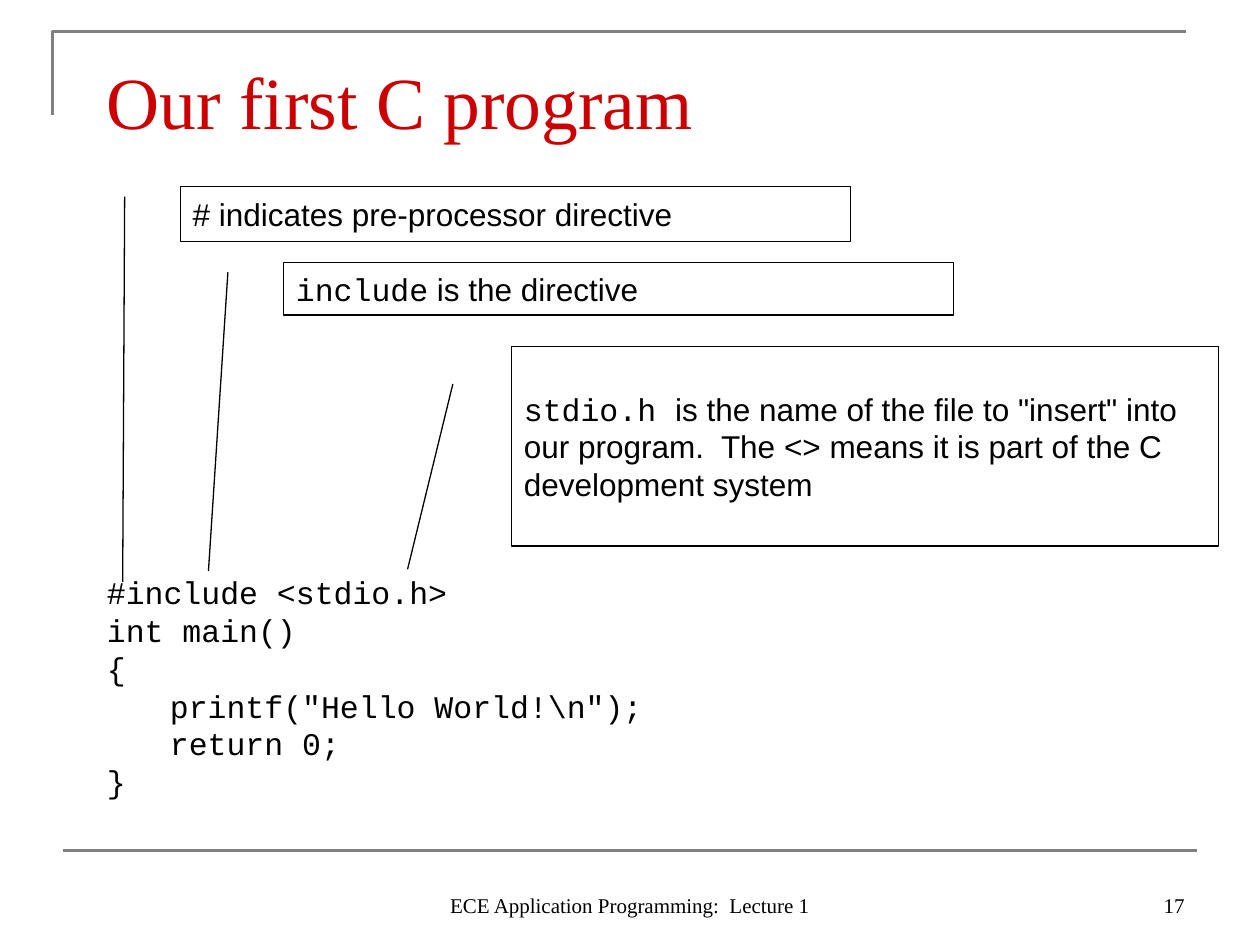
import pptx
import pptx.util
import pptx.dml.color
import pptx.enum.shapes
import pptx.enum.text
import pptx.oxml.ns
import lxml.etree

Pt = pptx.util.Pt
ANCHOR = pptx.enum.text.MSO_ANCHOR
ALIGN = pptx.enum.text.PP_ALIGN
SERIF, SANS, MONO = "Times New Roman", "Arial", "Courier New"
BLACK, RED, GRAY = "000000", "CC0000", "808080"
CODE = """#include <stdio.h>
int main()
{
\tprintf("Hello World!\\n");
\treturn 0;
}"""
CALLOUTS = [
    ((103, 106.5, 383, 31.7), (0.188, -0.083, 7.131, -0.086),
     [("# indicates pre-processor directive", SANS)]),
    ((162, 150, 383, 30), (0.188, -0.083, 5.879, -0.112),
     [("include", MONO), (" is the directive", SANS)]),
    ((292.3, 198, 404, 114), (0.188, -0.083, 1.117, -0.147),
     [("stdio.h ", MONO),
      ('is the name of the file to "insert" into our program.  '
       "The <> means it is part of the C development system", SANS)]),
]


def color(value):
    """Turn a hex string into a colour."""
    return pptx.dml.color.RGBColor.from_string(value)


def style_font(font, face, size, ink=BLACK):
    """Set face, size and colour of a font."""
    font.name = face
    font.size = Pt(size)
    font.color.rgb = color(ink)


def style_outline(line, ink, width):
    """Set colour and width of a line."""
    line.color.rgb = color(ink)
    line.width = Pt(width)


def add_text(slide, box, text, face, size, ink=BLACK, align=ALIGN.LEFT, anchor=ANCHOR.TOP):
    """Add a one-paragraph text box and return its frame."""
    frame = slide.shapes.add_textbox(*map(Pt, box)).text_frame
    frame.word_wrap = True
    frame.vertical_anchor = anchor
    paragraph = frame.paragraphs[0]
    paragraph.text = text
    paragraph.alignment = align
    for run in paragraph.runs:
        style_font(run.font, face, size, ink)
    return frame


def add_header(slide, box):
    """Draw the corner rule and the title inside the box."""
    left, top, width, height = box
    builder = slide.shapes.build_freeform(Pt(left), Pt(top + 48))
    builder.add_line_segments([(Pt(left), Pt(top)), (Pt(left + width), Pt(top))], close=False)
    corner = builder.convert_to_shape()
    corner.shadow.inherit = False
    corner.fill.background()
    style_outline(corner.line, GRAY, 1.5)
    add_text(slide, (left + 24, top + 6, width - 36, height - 6),
             "Our first C program", SERIF, 42, RED, anchor=ANCHOR.MIDDLE)


def add_code(slide, box):
    """Write the program listing."""
    frame = add_text(slide, box, CODE, MONO, 18)
    frame.paragraphs[0].line_spacing = Pt(21.6)


def add_callout(slide, box, pointer, parts):
    """Draw a bordered callout with its pointer line and mixed-font text."""
    callout = slide.shapes.add_shape(
        pptx.enum.shapes.MSO_SHAPE.LINE_CALLOUT_1, *map(Pt, box))
    callout.shadow.inherit = False
    callout.fill.background()
    style_outline(callout.line, BLACK, 0.75)
    for index, value in enumerate(pointer):
        callout.adjustments[index] = value
    frame = callout.text_frame
    frame.word_wrap = True
    frame.vertical_anchor = ANCHOR.MIDDLE
    paragraph = frame.paragraphs[0]
    paragraph.alignment = ALIGN.LEFT
    paragraph.line_spacing = Pt(21.6)
    for text, face in parts:
        run = paragraph.add_run()
        run.text = text
        style_font(run.font, face, 18)


def add_footer(slide, box):
    """Draw the bottom rule, the lecture name and the page number."""
    left, top, width, height = box
    rule = slide.shapes.add_connector(
        pptx.enum.shapes.MSO_CONNECTOR.STRAIGHT, Pt(left), Pt(top), Pt(left + width), Pt(top))
    style_outline(rule.line, GRAY, 1.5)
    lxml.etree.SubElement(rule._element.spPr, pptx.oxml.ns.qn("a:effectLst"))
    text_top, text_height = top + 6, height - 6
    add_text(slide, (left + 210, text_top, 228, text_height),
             "ECE Application Programming:  Lecture 1", SERIF, 12,
             align=ALIGN.CENTER, anchor=ANCHOR.BOTTOM)
    add_text(slide, (left + width - 168, text_top, 168, text_height),
             "17", SERIF, 12, align=ALIGN.RIGHT, anchor=ANCHOR.BOTTOM)


def main():
    """Build the slide and save it."""
    deck = pptx.Presentation()
    deck.slide_width, deck.slide_height = Pt(720), Pt(540)
    slide = deck.slides.add_slide(deck.slide_layouts[6])
    add_header(slide, (30, 18, 648, 72))
    add_code(slide, (54, 324, 618, 137))
    for box, pointer, parts in CALLOUTS:
        add_callout(slide, box, pointer, parts)
    add_footer(slide, (36, 486, 648, 42))
    deck.save("out.pptx")


if __name__ == "__main__":
    main()
